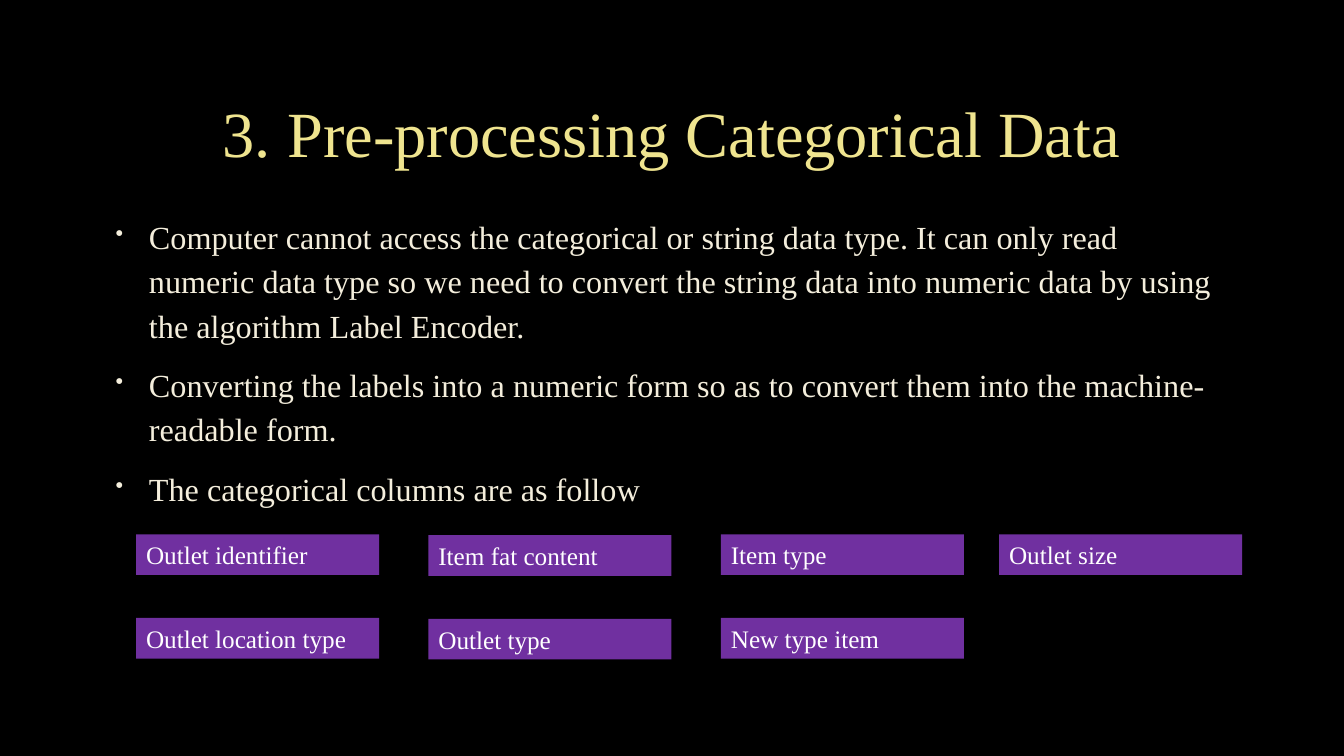
from dataclasses import dataclass
from itertools import product

from lxml.etree import SubElement as Sub
from pptx import Presentation as Deck
from pptx.dml.color import RGBColor as Rgb
from pptx.enum.shapes import MSO_SHAPE as Kind
from pptx.enum.text import MSO_ANCHOR as Anchor, MSO_AUTO_SIZE as Fit, PP_ALIGN as Align
from pptx.oxml.ns import qn
from pptx.util import Inches, Pt


@dataclass(frozen=True)
class Theme:
    font: str = "Times New Roman"
    back: str = "000000"
    gold: str = "EFE48F"
    cream: str = "F4EEDC"
    white: str = "FFFFFF"
    purple: str = "7030A0"
    head: int = 46
    body: int = 23
    label: int = 18


class Board:
    """Draws themed elements on one slide, placed in percent of its size."""

    def __init__(self, deck, theme):
        self.deck, self.theme = deck, theme
        self.slide = deck.slides.add_slide(deck.slide_layouts[6])
        fill = self.slide.background.fill
        fill.solid()
        fill.fore_color.rgb = Rgb.from_string(theme.back)

    def place(self, left, top, width, height):
        wide, high = self.deck.slide_width, self.deck.slide_height
        sides = (left, wide), (top, high), (width, wide), (height, high)
        return [round(share * full / 100) for share, full in sides]

    def letter(self, frame, text, size, color, align=Align.LEFT):
        frame.word_wrap = True
        frame.text = text
        for para in frame.paragraphs:
            para.alignment = align
            for run in para.runs:
                run.font.name = self.theme.font
                run.font.size = Pt(size)
                run.font.color.rgb = Rgb.from_string(color)

    def title(self, text, *area):
        frame = self.slide.shapes.add_textbox(*self.place(*area)).text_frame
        self.letter(frame, text, self.theme.head, self.theme.gold, Align.CENTER)
        frame.vertical_anchor = Anchor.MIDDLE
        frame.paragraphs[0].line_spacing = 0.9

    def bullets(self, lines, *area):
        theme = self.theme
        frame = self.slide.shapes.add_textbox(*self.place(*area)).text_frame
        self.letter(frame, "\n".join(lines), theme.body, theme.cream)
        for para in frame.paragraphs:
            para.line_spacing = 1.15
            para.space_before = Pt(theme.body * 0.2)
            para.space_after = Pt(6)
            props = para._p.get_or_add_pPr()
            props.set("marL", str(Inches(0.38)))
            props.set("indent", str(Inches(-0.33)))
            Sub(Sub(props, qn("a:buClr")), qn("a:srgbClr"), val=theme.cream)
            Sub(props, qn("a:buSzPct"), val="70000")
            Sub(props, qn("a:buChar"), char="•")

    def label(self, text, *area):
        theme = self.theme
        box = self.slide.shapes.add_shape(Kind.RECTANGLE, *self.place(*area))
        box.shadow.inherit = False
        box.fill.solid()
        box.fill.fore_color.rgb = Rgb.from_string(theme.purple)
        box.line.fill.background()
        self.letter(box.text_frame, text, theme.label, theme.white)
        box.text_frame.vertical_anchor = Anchor.TOP
        box.text_frame.auto_size = Fit.SHAPE_TO_FIT_TEXT


def main():
    deck = Deck()
    deck.slide_width, deck.slide_height = Inches(13.33), Inches(7.5)
    board = Board(deck, Theme())
    board.title("3. Pre-processing Categorical Data", 7.5, 8.93, 84.92, 18.4)
    board.bullets([
        "Computer cannot access the categorical or string data type. It can only read "
        "numeric data type so we need to convert the string data into numeric data by "
        "using the algorithm Label Encoder.",
        "Converting the labels into a numeric form so as to convert them into the "
        "machine-readable form.",
        "The categorical columns are as follow",
    ], 7.5, 27.33, 84.92, 39.73)
    names = ["Outlet identifier", "Item fat content", "Item type", "Outlet size",
             "Outlet location type", "Outlet type", "New type item"]
    rows = 70.67, 81.73
    cols = (10.13, 0), (31.88, 0.13), (53.64, 0), (74.34, 0)
    for name, (top, (left, drop)) in zip(names, product(rows, cols)):
        board.label(name, left, top + drop, 18.08, 5.38)
    deck.save("out.pptx")


if __name__ == "__main__":
    main()
